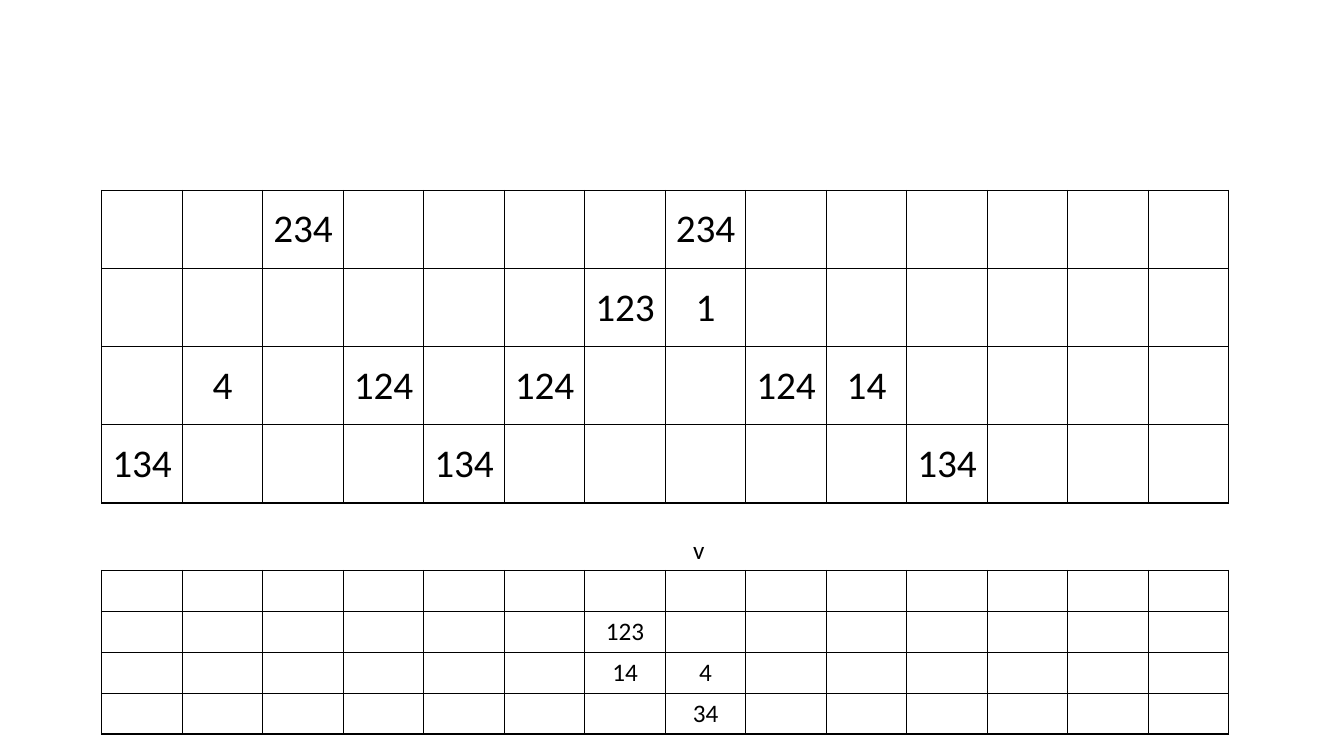
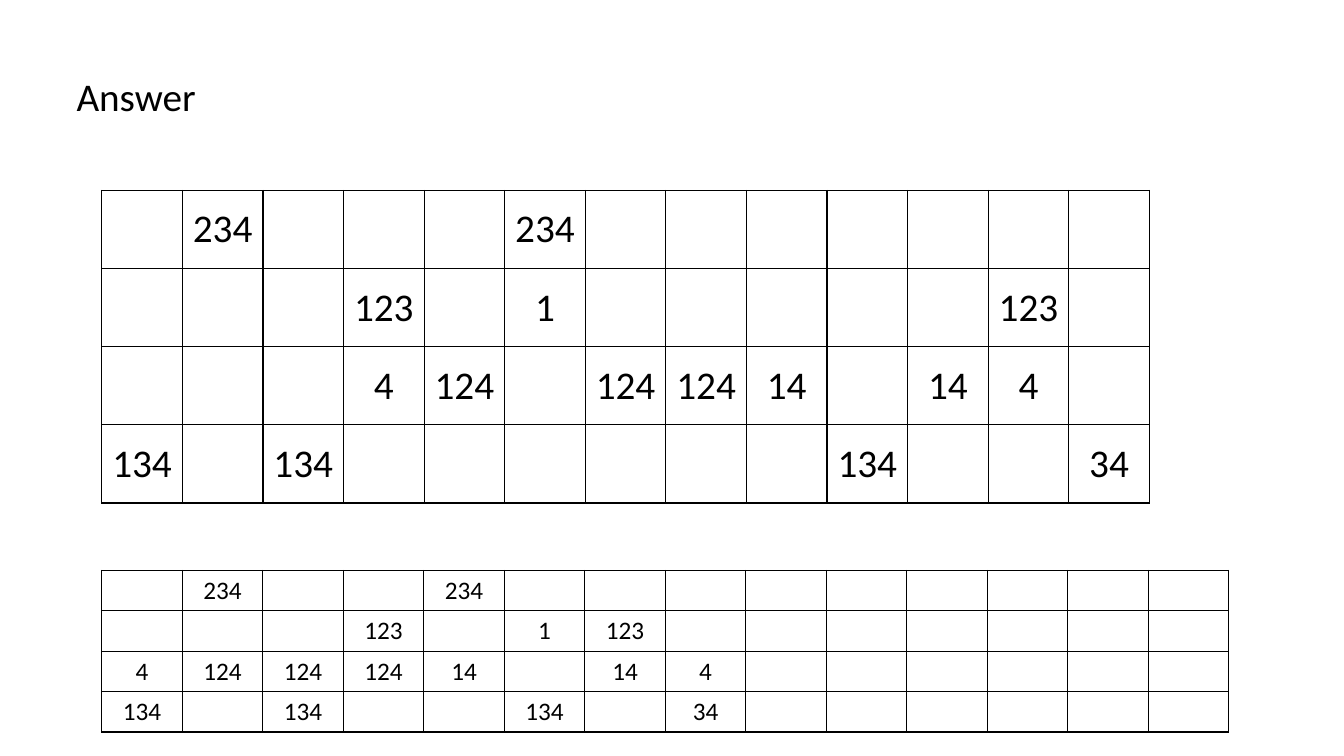
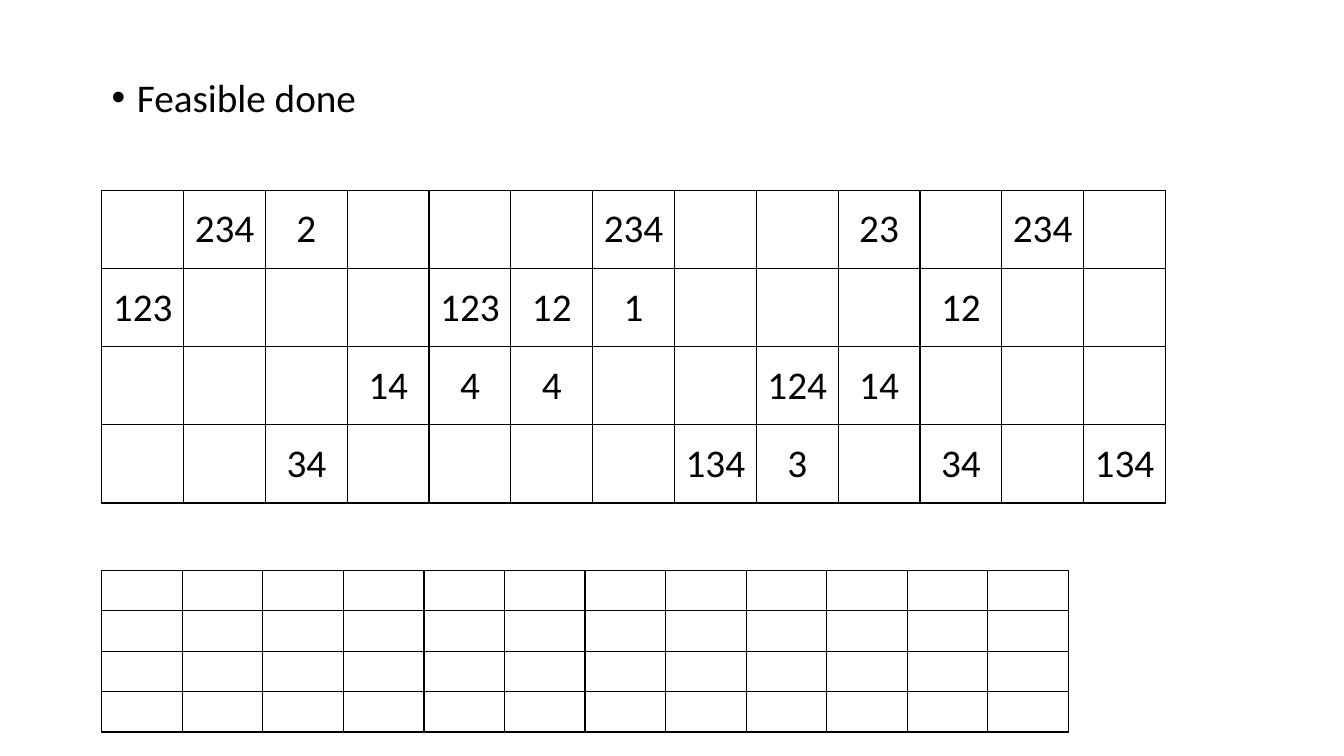
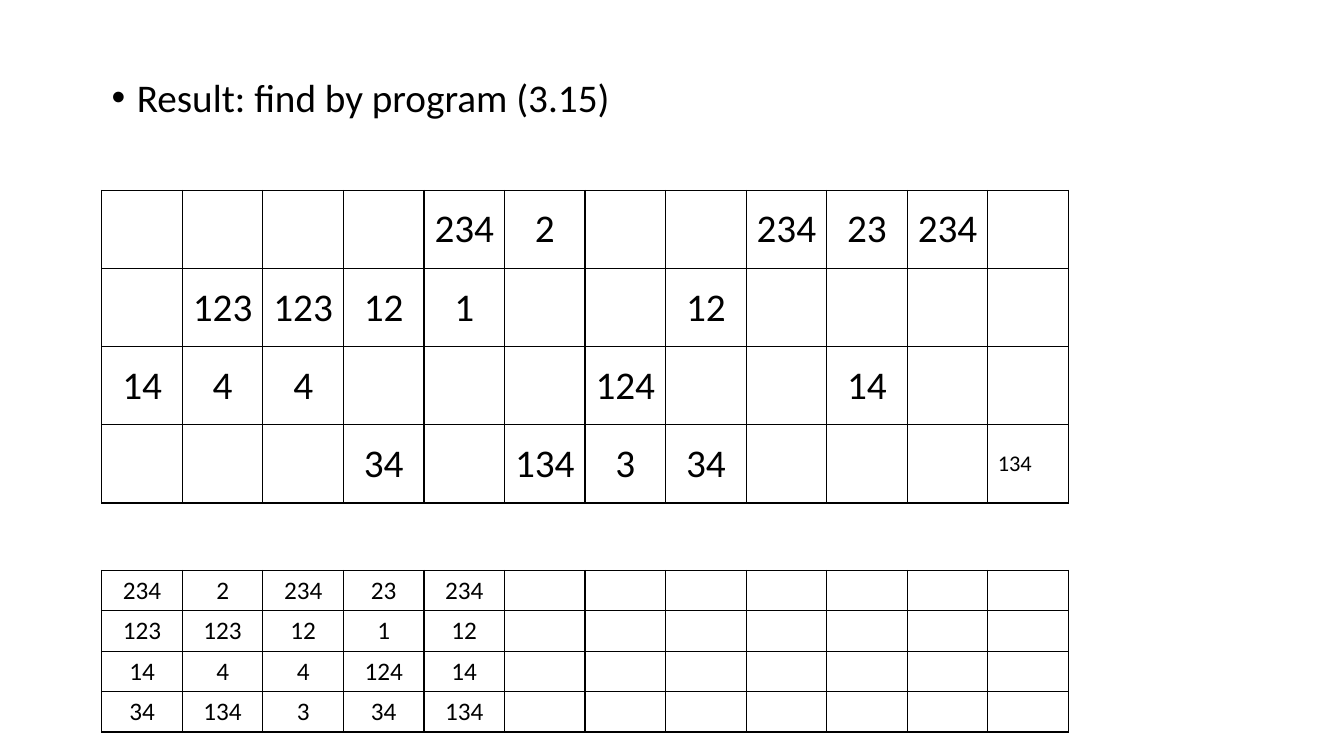
"""Build four slides of set-covering grids."""
from lxml import etree
from pptx import Presentation, util as u
from pptx.dml import color
from pptx.enum import text
from pptx.oxml import ns

BLACK, WHITE = "000000", "FFFFFF"
CENTER, LEFT = text.PP_ALIGN.CENTER, text.PP_ALIGN.LEFT


def rgb(value):
    return color.RGBColor.from_string(value)


class GridDeck:
    font = "Calibri"
    large, small = 28, 18
    left = 1.01
    border = 1

    def __init__(self):
        self.deck = Presentation()
        self.deck.slide_width = u.Inches(13.33)
        self.deck.slide_height = u.Inches(7.5)
        self.page = None

    def new_page(self):
        self.page = self.deck.slides.add_slide(self.deck.slide_layouts[6])

    def add_span(self, para, words, size):
        span = para.add_run()
        span.text = words
        span.font.name = self.font
        span.font.size = u.Pt(size)
        span.font.color.rgb = rgb(BLACK)

    def cell_text(self, cell, words, size, align=CENTER):
        cell.vertical_anchor = text.MSO_ANCHOR.MIDDLE
        para = cell.text_frame.paragraphs[0]
        para.alignment = align
        self.add_span(para, words, size)

    def outline(self, cell):
        properties = cell._tc.get_or_add_tcPr()
        for side in ("lnL", "lnR", "lnT", "lnB"):
            line = etree.SubElement(properties, ns.qn(f"a:{side}"), w=str(u.Pt(self.border)))
            fill = etree.SubElement(line, ns.qn("a:solidFill"))
            etree.SubElement(fill, ns.qn("a:srgbClr"), val=BLACK)

    def grid(self, top, width, height, columns, rows, size, filled):
        frame = self.page.shapes.add_table(
            len(rows), columns, u.Inches(self.left), u.Inches(top),
            u.Inches(width), u.Inches(height))
        table = frame.table
        table.first_row = table.horz_banding = False
        for column in table.columns:
            column.width = u.Inches(width / columns)
        for row_index, row in enumerate(rows):
            table.rows[row_index].height = u.Inches(height / len(rows))
            labels = row.split()
            for column_index in range(columns):
                cell = table.cell(row_index, column_index)
                self.outline(cell)
                if filled and column_index:
                    cell.fill.solid()
                    cell.fill.fore_color.rgb = rgb(WHITE)
                else:
                    cell.fill.background()
                if column_index < len(labels) and labels[column_index] != ".":
                    self.cell_text(cell, labels[column_index], size)
        return table

    def large_grid(self, width, columns, rows, filled=False):
        return self.grid(1.89, width, 3.1, columns, rows, self.large, filled)

    def small_grid(self, width, columns, rows):
        return self.grid(5.66, width, 1.6, columns, rows, self.small, False)

    def text_box(self, left, top, width, height):
        box = self.page.shapes.add_textbox(
            u.Inches(left), u.Inches(top), u.Inches(width), u.Inches(height))
        return box.text_frame

    def label(self, left, top, width, height, words, size):
        frame = self.text_box(left, top, width, height)
        frame.word_wrap = False
        frame.auto_size = text.MSO_AUTO_SIZE.SHAPE_TO_FIT_TEXT
        para = frame.paragraphs[0]
        para.alignment = CENTER
        self.add_span(para, words, size)

    def bullet(self, words):
        frame = self.text_box(self.left, 0.73, 10, 0.83)
        frame.word_wrap = True
        para = frame.paragraphs[0]
        para.line_spacing = 0.9
        properties = para._p.get_or_add_pPr()
        properties.set("marL", str(u.Inches(0.25)))
        properties.set("indent", str(u.Inches(-0.25)))
        etree.SubElement(properties, ns.qn("a:buFont"), typeface="Arial")
        etree.SubElement(properties, ns.qn("a:buChar"), char="•")
        self.add_span(para, words, self.large)


def main():
    show = GridDeck()

    show.new_page()
    show.large_grid(11.18, 14, [
        ". . 234 . . . . 234",
        ". . . . . . 123 1",
        ". 4 . 124 . 124 . . 124 14",
        "134 . . . 134 . . . . . 134",
    ])
    show.small_grid(11.18, 14, [
        "",
        ". . . . . . 123",
        ". . . . . . 14 4",
        ". . . . . . . 34",
    ])
    show.label(6.77, 5.25, 0.32, 0.4, "v", show.small)

    show.new_page()
    show.large_grid(10.39, 13, [
        ". 234 . . . 234",
        ". . . 123 . 1 . . . . . 123",
        ". . . 4 124 . 124 124 14 . 14 4",
        "134 . 134 . . . . . . 134 . . 34",
    ])
    show.small_grid(11.18, 14, [
        ". 234 . . 234",
        ". . . 123 . 1 123",
        "4 124 124 124 14 . 14 4",
        "134 . 134 . . 134 . 34",
    ])
    show.label(0.65, 0.67, 1.4, 0.57, "Answer", show.large)

    show.new_page()
    show.large_grid(10.55, 13, [
        ". 234 2 . . . 234 . . 23 . 234",
        "123 . . . 123 12 1 . . . 12",
        ". . . 14 4 4 . . 124 14",
        ". . 34 . . . . 134 3 . 34 . 134",
    ], filled=True)
    show.small_grid(9.59, 12, [""] * 4)
    show.bullet("Feasible done")

    show.new_page()
    result = show.large_grid(9.59, 12, [
        ". . . . 234 2 . . 234 23 234",
        ". 123 123 12 1 . . 12",
        "14 4 4 . . . 124 . . 14",
        ". . . 34 . 134 3 34",
    ], filled=True)
    show.cell_text(result.cell(3, 11), "134", 16, LEFT)
    show.small_grid(9.59, 12, [
        "234 2 234 23 234",
        "123 123 12 1 12",
        "14 4 4 124 14",
        "34 134 3 34 134",
    ])
    show.bullet("Result: find by program (3.15)")

    show.deck.save("out.pptx")


if __name__ == "__main__":
    main()
